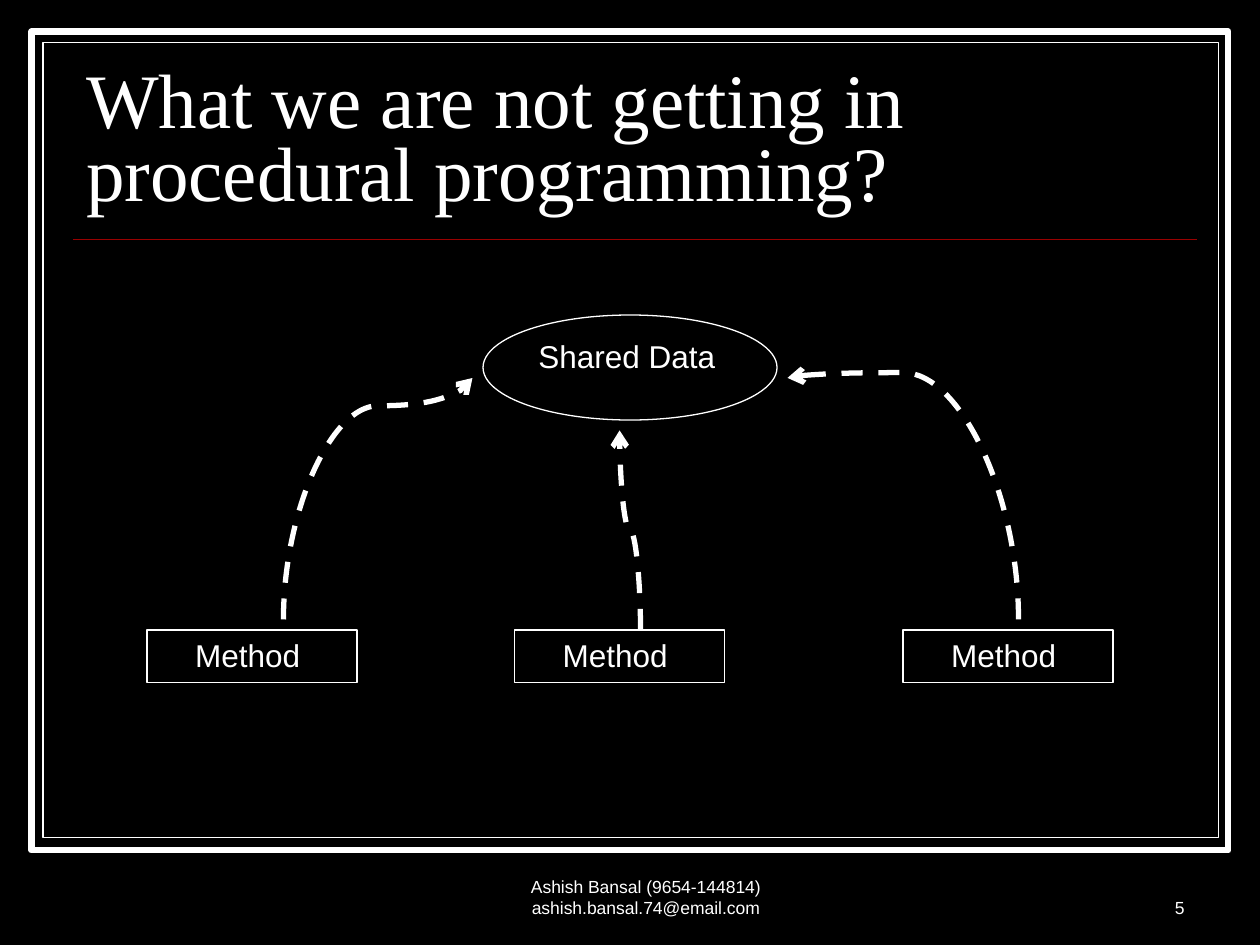
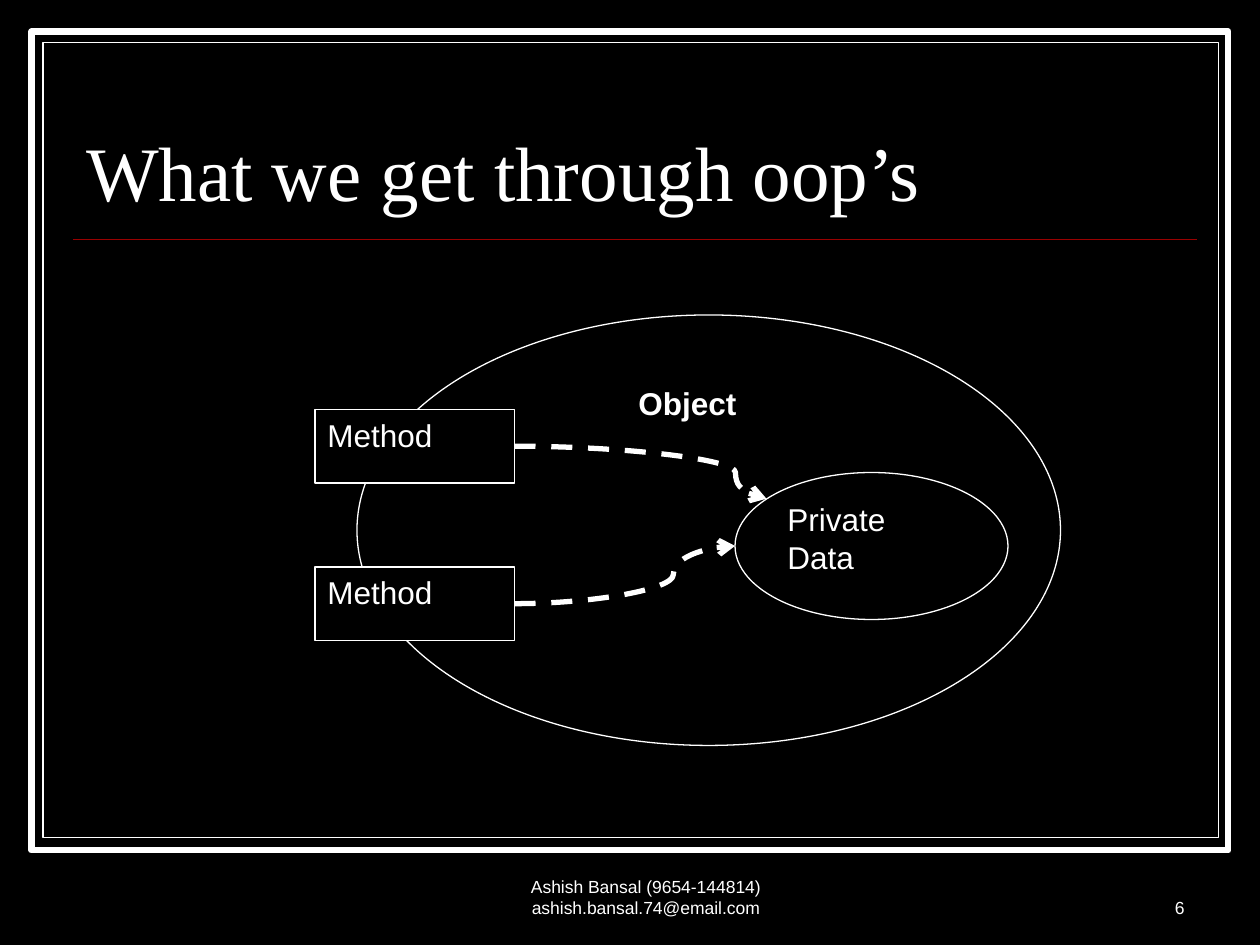
"""Two slides comparing shared data in procedural code with private data in objects."""
from dataclasses import dataclass

from pptx import Presentation
from pptx.dml.color import RGBColor
from pptx.enum.dml import MSO_LINE
from pptx.enum.shapes import MSO_CONNECTOR, MSO_SHAPE
from pptx.enum.text import MSO_ANCHOR, MSO_AUTO_SIZE, PP_ALIGN
from pptx.oxml.ns import qn
from pptx.util import Pt
from lxml import etree

RECT, OVAL = MSO_SHAPE.RECTANGLE, MSO_SHAPE.OVAL
STRAIGHT, CURVE = MSO_CONNECTOR.STRAIGHT, MSO_CONNECTOR.CURVE
LEFT, CENTER, RIGHT = PP_ALIGN.LEFT, PP_ALIGN.CENTER, PP_ALIGN.RIGHT
TOP, BOTTOM = MSO_ANCHOR.TOP, MSO_ANCHOR.BOTTOM
DASH = MSO_LINE.DASH

BLACK, WHITE, RED = "000000", "FFFFFF", "990000"
TITLE_FONT, BODY_FONT = "Times New Roman", "Arial"
FOOTER = "Ashish Bansal (9654-144814) ashish.bansal.74@email.com"
TITLE_ONLY = 5


@dataclass
class Node:
    """A labelled outline; position and size in points."""
    kind: MSO_SHAPE
    x: float
    y: float
    w: float
    h: float
    text: str = ""
    fill: str | None = None
    align: PP_ALIGN = LEFT
    bold: bool = False
    inset: float = 7.2
    weight: float = 0.75


@dataclass
class Arrow:
    """A dashed curve; bend is the share of the way to its turn."""
    start: tuple[float, float]
    end: tuple[float, float]
    bend: float
    upward: bool = False


def paint(fmt, color: str | None) -> None:
    """Give a fill a solid hex colour, or none."""
    if color is None:
        fmt.background()
    else:
        fmt.solid()
        fmt.fore_color.rgb = RGBColor.from_string(color)


def write(sp, text: str, *, size: float = 18, font: str = BODY_FONT, bold: bool = False,
          align: PP_ALIGN = LEFT, anchor: MSO_ANCHOR = TOP, spacing: float | None = None,
          inset: float = 7.2) -> None:
    """Put one formatted paragraph into a shape."""
    tf = sp.text_frame
    tf.word_wrap = True
    tf.vertical_anchor = anchor
    tf.margin_left = Pt(inset)
    p = tf.paragraphs[0]
    p.alignment = align
    p.line_spacing = spacing
    r = p.add_run()
    r.text = text
    r.font.size, r.font.name, r.font.bold = Pt(size), font, bold
    paint(r.font.fill, WHITE)


def add_node(s, node: Node):
    """Draw an outlined shape with its label."""
    sp = s.shapes.add_shape(node.kind, Pt(node.x), Pt(node.y), Pt(node.w), Pt(node.h))
    sp.shadow.inherit = False
    paint(sp.fill, node.fill)
    paint(sp.line.fill, WHITE)
    sp.line.width = Pt(node.weight)
    if node.text:
        write(sp, node.text, bold=node.bold, align=node.align, inset=node.inset)
    return sp


def add_line(s, kind: MSO_CONNECTOR, start: tuple[float, float], end: tuple[float, float],
             color: str, weight: float):
    """Draw a connector without a shadow."""
    c = s.shapes.add_connector(kind, *(Pt(v) for v in (*start, *end)))
    paint(c.line.fill, color)
    c.line.width = Pt(weight)
    etree.SubElement(c.element.spPr, qn("a:effectLst"))
    return c


def add_arrow(s, arrow: Arrow) -> None:
    """Draw a dashed curve; an upward one is laid out sideways, then turned."""
    (x0, y0), (x1, y1) = start, end = arrow.start, arrow.end
    if arrow.upward:
        mx, my = (x0 + x1) / 2, (y0 + y1) / 2
        along, across = (y0 - y1) / 2, (x1 - x0) / 2
        start, end = (mx - along, my - across), (mx + along, my + across)
    c = add_line(s, CURVE, start, end, WHITE, 3)
    c.line.dash_style = DASH
    if arrow.upward:
        c.rotation = 270
    ln = c.element.spPr.find(qn("a:ln"))
    etree.SubElement(ln, qn("a:tailEnd"), type="arrow")
    guides = c.element.spPr.find(qn("a:prstGeom")).find(qn("a:avLst"))
    etree.SubElement(guides, qn("a:gd"), name="adj1", fmla=f"val {round(arrow.bend * 100000)}")


def add_label(s, x: float, w: float, text: str, align: PP_ALIGN) -> None:
    """Write small text in the strip below the frame."""
    sp = s.shapes.add_textbox(Pt(x), Pt(492), Pt(w), Pt(36))
    write(sp, text, size=10, align=align, anchor=BOTTOM)


def style_layout(layout, s) -> None:
    """Place the title and move the double frame and rule from a slide to its layout."""
    title = layout.placeholders[0]
    title.left, title.top, title.width, title.height = Pt(42), Pt(37.5), Pt(642), Pt(90)
    title.text_frame.auto_size = MSO_AUTO_SIZE.NONE
    frame = [add_node(s, Node(RECT, 18, 18, 684, 468, fill=BLACK, weight=3.5)),
             add_node(s, Node(RECT, 24.5, 24.5, 672, 454, fill=BLACK)),
             add_line(s, STRAIGHT, (42, 136.8), (684, 136.8), RED, 1)]
    for sp in frame:
        layout.shapes.element.append(sp.element)


def add_content(s, number: int, title: str, parts: list[Node | Arrow]) -> None:
    """Fill a slide with its title, diagram and footer."""
    write(s.shapes.title, title, size=44, font=TITLE_FONT, anchor=BOTTOM, spacing=0.8)
    for part in parts:
        if isinstance(part, Node):
            add_node(s, part)
        else:
            add_arrow(s, part)
    add_label(s, 534, 150, str(number), RIGHT)
    add_label(s, 255, 228, FOOTER, CENTER)


PROCEDURAL = [
    Node(OVAL, 276, 180, 168, 60, "Shared Data"),
    *(Node(RECT, x, 360, 120, 30, "Method ", align=CENTER) for x in (84, 294, 516)),
    Arrow((162, 354), (270, 216), 0.885, upward=True),
    Arrow((366, 360), (354, 246), 0.5, upward=True),
    Arrow((582, 354), (450, 216), 1.022, upward=True),
]
OBJECT = [
    Node(OVAL, 204, 180, 402, 246, "Object", bold=True, inset=102),
    Node(OVAL, 420, 270, 156, 84, "Private Data"),
    Arrow((294, 255), (438, 285), 0.877),
    Arrow((294, 345), (420, 312), 0.72),
    *(Node(RECT, 180, y, 114, 42, "Method", fill=BLACK) for y in (234, 324)),
]
SLIDES = [
    ("What we are not getting in procedural programming?", PROCEDURAL),
    ("What we get through oop’s", OBJECT),
]

prs = Presentation()
prs.slide_width, prs.slide_height = Pt(720), Pt(540)
paint(prs.slide_master.background.fill, BLACK)
layout = prs.slide_layouts[TITLE_ONLY]
for number, (title, parts) in enumerate(SLIDES, start=5):
    s = prs.slides.add_slide(layout)
    if number == 5:
        style_layout(layout, s)
    add_content(s, number, title, parts)
prs.save("out.pptx")
